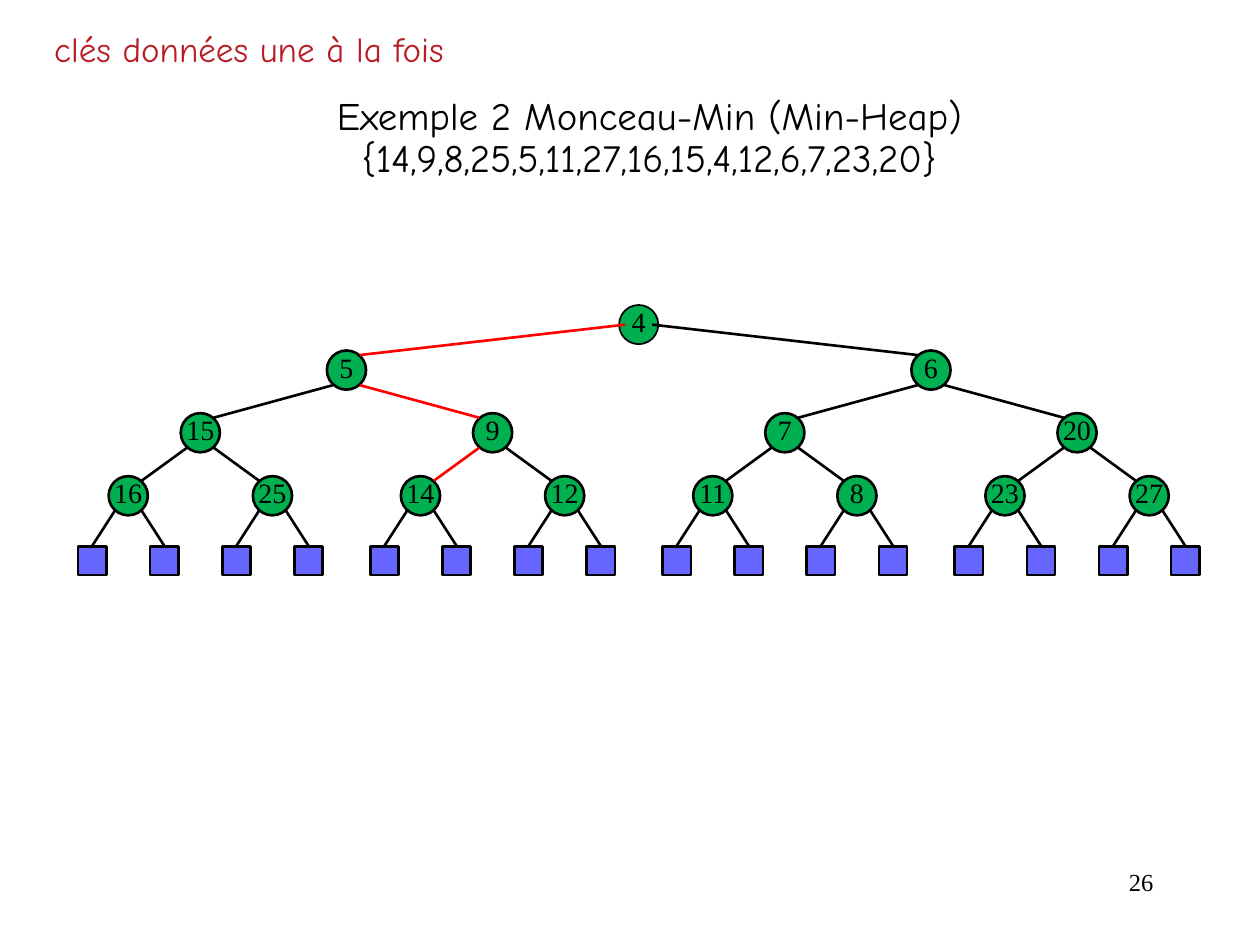
from lxml import etree
from pptx import Presentation
from pptx.dml.color import RGBColor
from pptx.enum import shapes, text
from pptx.oxml import ns
from pptx.util import Pt

HEAP = [4, 5, 6, 15, 9, 7, 20, 16, 25, 14, 12, 11, 8, 23, 27]
RED_PATH = {5, 9, 14}
LEVEL_Y = [11.2, 37.2, 73, 109, 146.2]
BRANCH = [167, 83.5, 41.2, 20.6]
DIAMETER, SQUARE = 22.4, 16.2
REACH_X, REACH_Y = 7.7, 8.6


def color(hex_string):
    """Turn a hex string into a colour."""
    return RGBColor.from_string(hex_string)


def add_run(paragraph, words, font, size, hex_string):
    """Append one formatted run to a paragraph."""
    run = paragraph.add_run()
    run.text = words
    run.font.name = font
    run.font.size = Pt(size)
    run.font.color.rgb = color(hex_string)


def add_label(slide, box, words, font, size, hex_string, align, inset=7.2):
    """Place one line of free text in the given box."""
    frame = slide.shapes.add_textbox(*map(Pt, box)).text_frame
    frame.word_wrap = True
    frame.margin_left = Pt(inset)
    paragraph = frame.paragraphs[0]
    paragraph.alignment = align
    add_run(paragraph, words, font, size, hex_string)


def add_title(slide, box, lines):
    """Move the title placeholder to the box and fill it line by line."""
    title = slide.shapes.title
    title.left, title.top, title.width, title.height = map(Pt, box)
    frame = title.text_frame
    frame.auto_size = text.MSO_AUTO_SIZE.NONE
    frame.vertical_anchor = text.MSO_ANCHOR.MIDDLE
    for index, line in enumerate(lines):
        paragraph = frame.add_paragraph() if index else frame.paragraphs[0]
        paragraph.alignment = text.PP_ALIGN.CENTER
        paragraph.line_spacing = 0.9
        add_run(paragraph, line, "Comic Neue", 22.2, "000000")


def add_mark(slide, kind, center, size, fill, weight):
    """Draw a filled, outlined shape around a centre point."""
    x, y = center
    mark = slide.shapes.add_shape(
        kind, Pt(x - size / 2), Pt(y - size / 2), Pt(size), Pt(size))
    mark.shadow.inherit = False
    mark.fill.solid()
    mark.fill.fore_color.rgb = color(fill)
    mark.line.color.rgb = color("000000")
    mark.line.width = Pt(weight)
    return mark


def add_node(slide, center, key, weight):
    """Draw one heap node with its key."""
    node = add_mark(slide, shapes.MSO_SHAPE.OVAL, center, DIAMETER, "00B050", weight)
    frame = node.text_frame
    frame.word_wrap = False
    frame.margin_left = frame.margin_top = frame.margin_right = 0
    frame.margin_bottom = Pt(3.6)
    frame.vertical_anchor = text.MSO_ANCHOR.MIDDLE
    frame.paragraphs[0].alignment = text.PP_ALIGN.CENTER
    add_run(frame.paragraphs[0], str(key), "Times New Roman", 16, "000000")


def add_edge(slide, start, end, hex_string):
    """Draw a straight tree edge."""
    edge = slide.shapes.add_connector(
        shapes.MSO_CONNECTOR.STRAIGHT, *map(Pt, (*start, *end)))
    edge.line.color.rgb = color(hex_string)
    edge.line.width = Pt(1.5)
    etree.SubElement(edge.element.spPr, ns.qn("a:effectLst"))


def add_subtree(slide, root_x, top, index=0, level=0):
    """Draw the node at a heap index and everything below it."""
    y = top + LEVEL_Y[level]
    if index >= len(HEAP):
        add_mark(slide, shapes.MSO_SHAPE.RECTANGLE, (root_x, y), SQUARE, "6666FF", 1.5)
        return
    add_node(slide, (root_x, y), HEAP[index], 1.5 if level else 1)
    for side, child in ((-1, 2 * index + 1), (1, 2 * index + 2)):
        child_x = root_x + side * BRANCH[level]
        is_key = child < len(HEAP)
        add_subtree(slide, child_x, top, child, level + 1)
        start = root_x + side * REACH_X, y + (REACH_Y if level else 0)
        end = (child_x - (side * REACH_X if is_key else 0),
               top + LEVEL_Y[level + 1] - REACH_Y)
        on_path = is_key and HEAP[child] in RED_PATH
        add_edge(slide, start, end, "FF0000" if on_path else "000000")


def main():
    """Build the slide and save it."""
    deck = Presentation()
    deck.slide_width, deck.slide_height = Pt(720), Pt(540)
    slide = deck.slides.add_slide(deck.slide_layouts[5])
    add_title(slide, (126, 48.2, 490.3, 62),
              ["Exemple 2 Monceau-Min (Min-Heap)",
               "{14,9,8,25,5,11,27,16,15,4,12,6,7,23,20}"])
    add_label(slide, (18, 12.2, 244, 31.7), "clés données une à la fois",
              "Comic Neue", 20, "BA1C24", text.PP_ALIGN.LEFT, inset=13)
    add_subtree(slide, 365, 174.3)
    add_label(slide, (516.2, 491.8, 150, 36), "26",
              "Times New Roman", 14, "000000", text.PP_ALIGN.RIGHT)
    deck.save("out.pptx")


if __name__ == "__main__":
    main()
